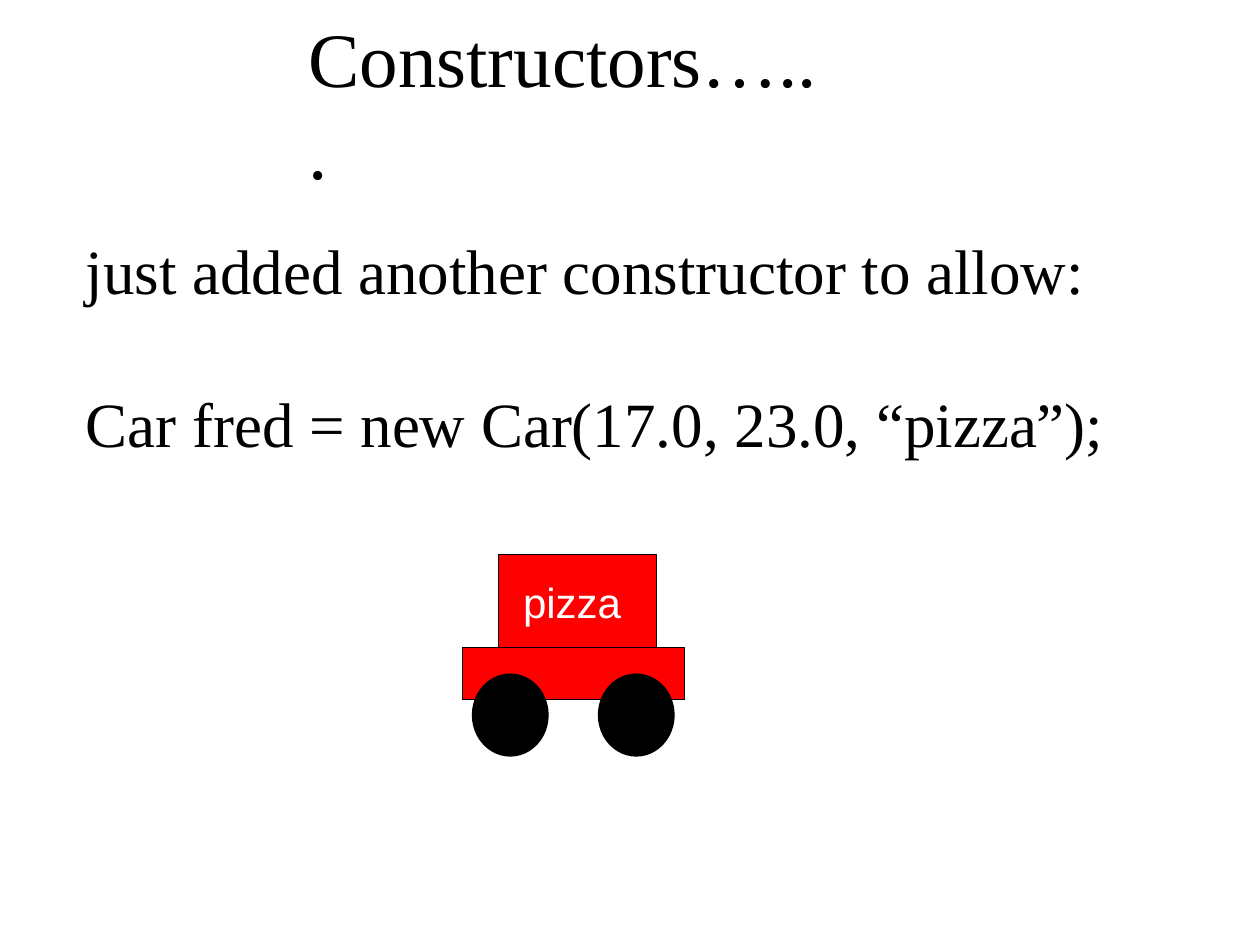
from pptx import Presentation
from pptx.dml.color import RGBColor
from pptx.enum.shapes import MSO_SHAPE
from pptx.enum.text import MSO_ANCHOR, PP_ALIGN
from pptx.util import Pt

RECT, OVAL = MSO_SHAPE.RECTANGLE, MSO_SHAPE.OVAL
TOP, MID, LEFT = MSO_ANCHOR.TOP, MSO_ANCHOR.MIDDLE, PP_ALIGN.LEFT
HUES = {name: RGBColor.from_string(code) for name, code in
        {"ink": "000000", "body": "FF0000", "label": "FFFFFF"}.items()}
SERIF, SANS = "Times New Roman", "Arial"

deck = Presentation()
deck.slide_width, deck.slide_height = Pt(720), Pt(540)
slide = deck.slides.add_slide(deck.slide_layouts[6])


def write(shape, lines, font, size, hue, inset, anchor=TOP, gap=0):
    frame = shape.text_frame
    left, top = inset
    form = {"word_wrap": True, "vertical_anchor": anchor,
            "margin_left": Pt(left), "margin_right": Pt(7.2),
            "margin_top": Pt(top), "margin_bottom": Pt(top)}
    for key, value in form.items():
        setattr(frame, key, value)
    for i, line in enumerate(lines):
        para = frame.paragraphs[0] if i == 0 else frame.add_paragraph()
        para.alignment = LEFT
        para.space_before = Pt(gap if i else 0)
        run = para.add_run()
        run.text = line
        run.font.name, run.font.size = font, Pt(size)
        run.font.color.rgb = HUES[hue]


# Title and body text
texts = [
    ((169.2, 2.2, 316, 59.8), ["Constructors…..."], 44, 3.6),
    ((41.8, 125.3, 637.2, 67.7),
     ["just added another constructor to allow:",
      "Car fred = new Car(17.0, 23.0, “pizza”);"], 36, 7.2),
]
for place, lines, size, top in texts:
    box = slide.shapes.add_textbox(*map(Pt, place))
    write(box, lines, SERIF, size, "ink", (7.2, top), gap=44)

# Car: cabin, chassis and two wheels
parts = [(RECT, (285, 316.8, 90, 53.6), "body", "pizza"),
         (RECT, (264.3, 370.2, 126.8, 29.6), "body", None)]
parts += [(OVAL, (270 + 72 * i, 385.2, 43.2, 46.8), "ink", None)
          for i in range(2)]
for kind, place, hue, label in parts:
    part = slide.shapes.add_shape(kind, *map(Pt, place))
    part.shadow.inherit = False
    part.fill.solid()
    part.fill.fore_color.rgb = HUES[hue]
    part.line.color.rgb = HUES["ink"]
    part.line.width = Pt(0.75)
    if label:
        write(part, [label], SANS, 24, "label", (13.9, 7.2), MID)

deck.save("out.pptx")
